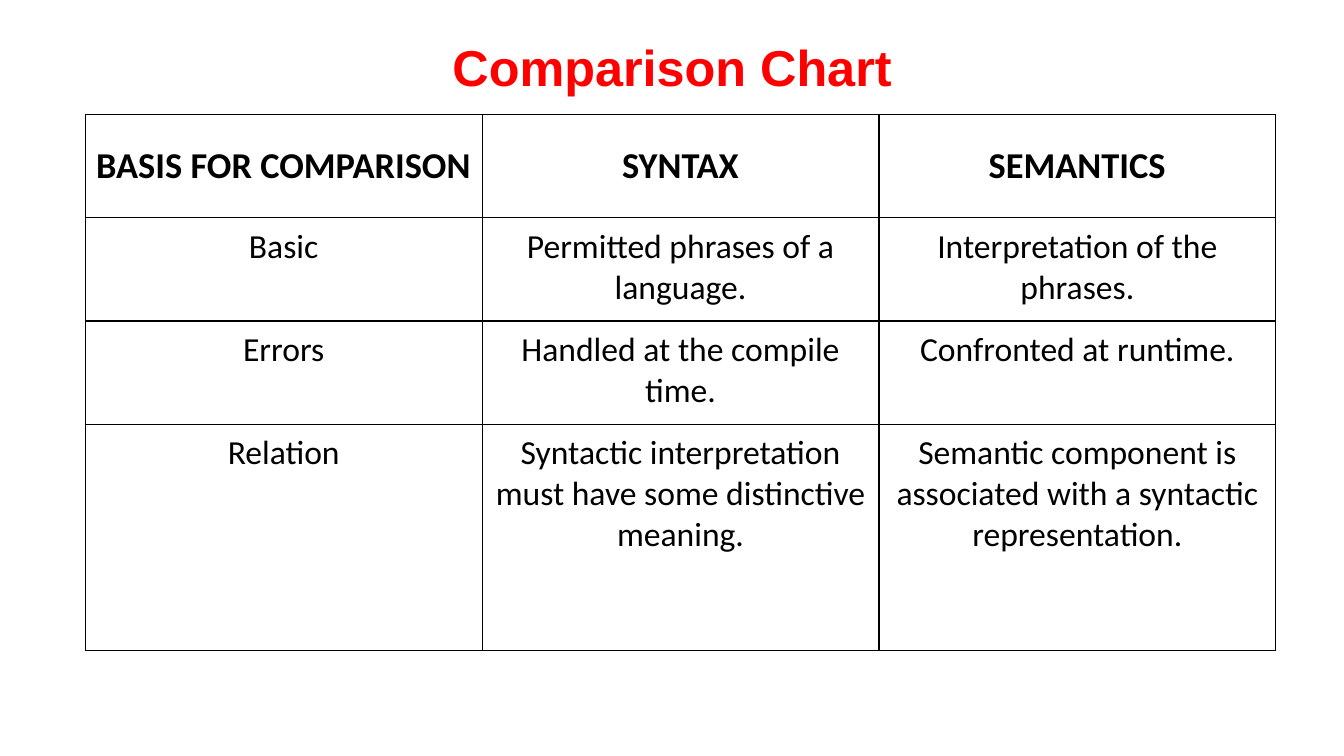
from dataclasses import dataclass

from lxml.etree import SubElement
from pptx import Presentation
from pptx.dml.color import RGBColor
from pptx.enum.text import MSO_ANCHOR as Anchor, PP_ALIGN as Align
from pptx.oxml.ns import qn
from pptx.slide import Slide
from pptx.table import _Cell as Cell
from pptx.text.text import TextFrame
from pptx.util import Cm, Pt


@dataclass(frozen=True)
class TextStyle:
    font: str
    size: int
    color: str
    bold: bool
    anchor: Anchor


@dataclass(frozen=True)
class Theme:
    title: TextStyle = TextStyle("Arial", 36, "FF0000", True, Anchor.MIDDLE)
    header: TextStyle = TextStyle("Calibri", 26, "000000", True, Anchor.MIDDLE)
    body: TextStyle = TextStyle("Calibri", 24, "000000", False, Anchor.TOP)
    border: str = "000000"
    border_width: int = 1
    cell_margin: float = 0.21


@dataclass(frozen=True)
class TableRow:
    height: float
    texts: tuple[str, str, str]
    style: TextStyle


THEME = Theme()
COLUMN_WIDTH = 10
ROWS = (
    TableRow(2.6, ("BASIS FOR COMPARISON", "SYNTAX", "SEMANTICS"), THEME.header),
    TableRow(2.6, ("Basic", "Permitted phrases of a language.",
                   "Interpretation of the phrases."), THEME.body),
    TableRow(2.6, ("Errors", "Handled at the compile time.",
                   "Confronted at runtime."), THEME.body),
    TableRow(5.7, ("Relation",
                   "Syntactic interpretation must have some distinctive meaning.",
                   "Semantic component is associated with a syntactic representation."),
             THEME.body),
)


def write_text(tf: TextFrame, text: str, style: TextStyle) -> None:
    tf.text = text
    p = tf.paragraphs[0]
    p.alignment = Align.CENTER
    font = p.runs[0].font
    font.name = style.font
    font.size = Pt(style.size)
    font.bold = style.bold
    font.color.rgb = RGBColor.from_string(style.color)


def add_borders(cell: Cell) -> None:
    props = cell._tc.get_or_add_tcPr()
    for side in ("a:lnL", "a:lnR", "a:lnT", "a:lnB"):
        line = SubElement(props, qn(side), w=str(Pt(THEME.border_width)))
        fill = SubElement(line, qn("a:solidFill"))
        SubElement(fill, qn("a:srgbClr"), val=THEME.border)


def format_cell(cell: Cell, text: str, style: TextStyle) -> None:
    write_text(cell.text_frame, text, style)
    cell.vertical_anchor = style.anchor
    margin = Cm(THEME.cell_margin)
    cell.margin_left = cell.margin_right = margin
    cell.margin_top = cell.margin_bottom = margin
    add_borders(cell)
    cell.fill.background()


def add_title(s: Slide) -> None:
    sp = s.shapes.title
    sp.left, sp.top, sp.width, sp.height = Cm(1.7), Cm(0.43), Cm(30.48), Cm(2.46)
    tf = sp.text_frame
    tf.margin_left = tf.margin_right = tf.margin_top = tf.margin_bottom = 0
    tf.word_wrap = True
    tf.vertical_anchor = THEME.title.anchor
    write_text(tf, "Comparison Chart", THEME.title)


def add_comparison_table(s: Slide) -> None:
    columns = len(ROWS[0].texts)
    height = sum(row.height for row in ROWS)
    table = s.shapes.add_table(len(ROWS), columns, Cm(2.15), Cm(2.89),
                               Cm(columns * COLUMN_WIDTH), Cm(height)).table
    table.first_row = table.horz_banding = False
    for column in table.columns:
        column.width = Cm(COLUMN_WIDTH)
    for r, row in enumerate(ROWS):
        table.rows[r].height = Cm(row.height)
        for c, text in enumerate(row.texts):
            format_cell(table.cell(r, c), text, row.style)


def main() -> None:
    prs = Presentation()
    prs.slide_width, prs.slide_height = Cm(33.87), Cm(19.05)
    s = prs.slides.add_slide(prs.slide_layouts.get_by_name("Title Only"))
    add_title(s)
    add_comparison_table(s)
    prs.save("out.pptx")


if __name__ == "__main__":
    main()
